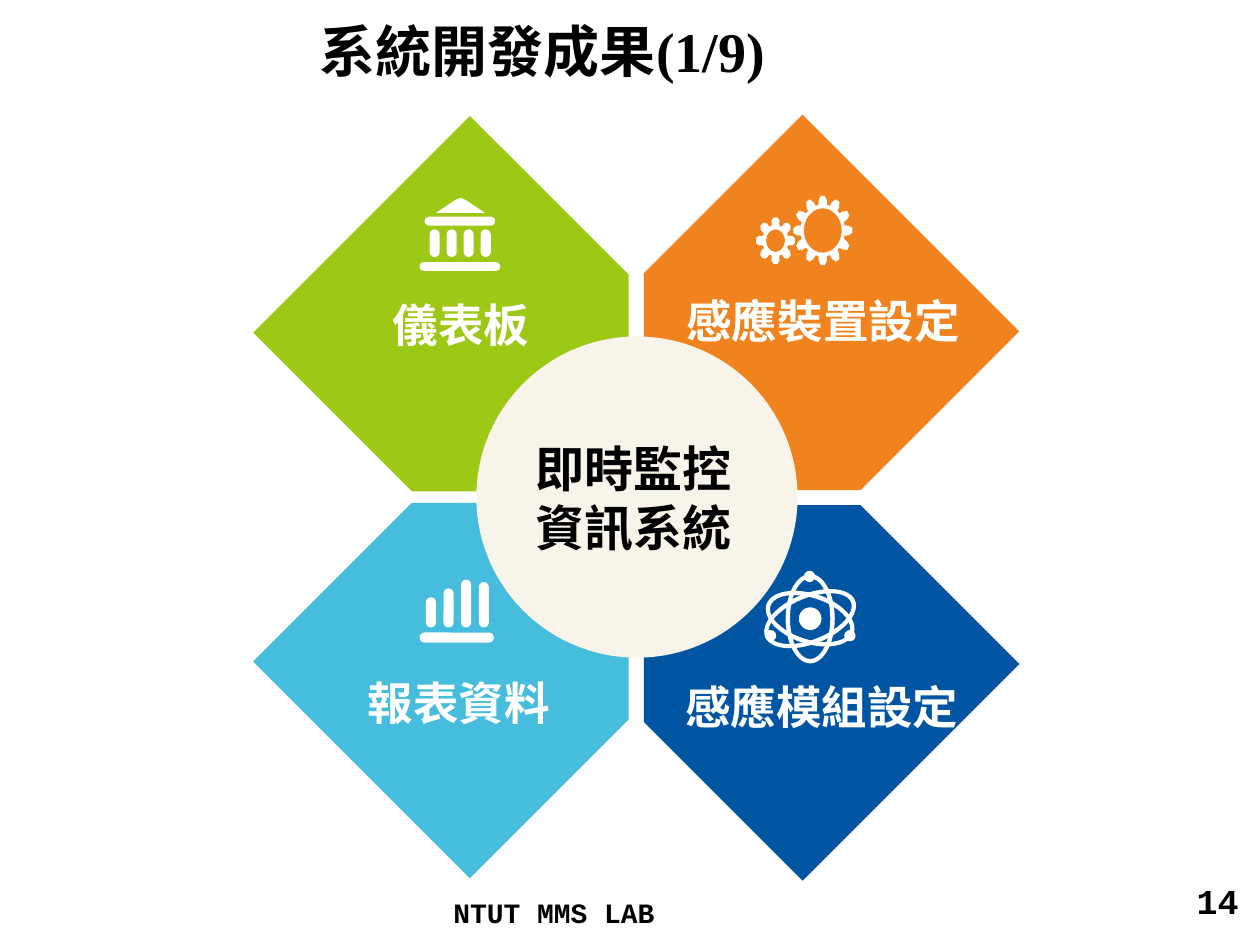
import math

from lxml import etree
from pptx import Presentation
from pptx import util as u
from pptx.dml.color import RGBColor
from pptx.enum import shapes as s, text as t
from pptx.oxml import ns

WHITE = RGBColor(0xFF, 0xFF, 0xFF)
BLACK = RGBColor(0, 0, 0)
GREEN = RGBColor(0x9D, 0xC8, 0x15)
ORANGE = RGBColor(0xF0, 0x83, 0x1E)
CYAN = RGBColor(0x47, 0xBD, 0xDD)
BLUE = RGBColor(0x00, 0x55, 0xA2)
CREAM = RGBColor(0xF8, 0xF4, 0xEA)

CJK_FONT = "Noto Sans CJK SC"
RIGHT = t.PP_ALIGN.RIGHT

# wording, box, font, size, alignment, anchor
FRAME_TEXTS = [
    ("系統開發成果(1/9)", (2.44, 0, 7.56, 0.79), "Times New Roman", 32, None, t.MSO_ANCHOR.MIDDLE),
    ("14", (7.6, 6.93, 2.33, 0.52), "Courier New", 20, RIGHT, t.MSO_ANCHOR.TOP),
    ("NTUT MMS LAB", (3.5, 7.06, 3.24, 0.32), "Courier New", 16, None, t.MSO_ANCHOR.TOP),
]

# inner corner, horizontal and vertical direction outwards, colour
PETALS = [
    ((5.11, 3.89), (1, -1), ORANGE),
    ((4.99, 3.99), (-1, 1), CYAN),
    ((5.11, 4.01), (1, 1), BLUE),
    ((4.99, 3.90), (-1, -1), GREEN),
]
PETAL_OUTLINE = [(0, 0), (1.72, 0), (2.98, 1.26), (1.26, 2.98), (0, 1.72)]

HUB = ("即時監控資訊系統", (3.78, 2.67, 2.55, 2.55))
LABELS = [
    ("儀表板", (3.02, 2.31, 1.3, 0.54)),
    ("感應裝置設定", (5.35, 2.28, 2.39, 0.54)),
    ("報表資料", (2.82, 5.31, 1.66, 0.54)),
    ("感應模組設定", (5.34, 5.34, 2.39, 0.54)),
]

CHART_BASE = (3.33, 5.02, 0.59, 0.08)
CHART_BOTTOM, CHART_LEFT, CHART_STEP = 4.98, 3.38, 0.14
CHART_HEIGHTS = [0.24, 0.31, 0.38, 0.36]

TEMPLE_BEAMS = [(3.33, 2.08, 0.64, 0.07), (3.37, 1.72, 0.56, 0.07)]
TEMPLE_COLUMNS = [(3.41 + 0.135 * i, 1.82, 0.08, 0.22) for i in range(4)]
TEMPLE_ROOF = [(3.46, 1.69), (3.61, 1.59), (3.63, 1.58), (3.66, 1.57),
               (3.68, 1.58), (3.7, 1.59), (3.85, 1.69)]

ATOM_CENTER = (6.43, 4.91)
ATOM_RING = 0.035
ATOM_ORBITS = [(0.39, 0.71, 0), (0.77, 0.4, -22), (0.73, 0.4, 18)]  # width, height, rotation
ATOM_BALLS = [(6.34, 4.82, 0.18), (6.7, 5, 0.09), (6.07, 5, 0.09), (6.38, 4.53, 0.09)]

# centre, radii, teeth, root and hole as parts of the radii
GEARS = [
    ((6.53, 1.83), (0.235, 0.275), 12, 0.75, 0.64),
    ((6.155, 1.91), (0.155, 0.185), 8, 0.67, 0.48),
]


def paint(shape, color):
    shape.shadow.inherit = False
    shape.fill.solid()
    shape.fill.fore_color.rgb = color
    shape.line.fill.background()


def add_preset(parent, kind, box, color=WHITE):
    shape = parent.add_shape(kind, *map(u.Inches, box))
    paint(shape, color)
    return shape


def add_bar(parent, box):
    """Add a white bar with fully rounded ends."""
    add_preset(parent, s.MSO_SHAPE.ROUNDED_RECTANGLE, box).adjustments[0] = 0.5


def add_outline(parent, contours, color=WHITE):
    """Add one freeform; contours after the first cut holes."""
    contours = [[(u.Inches(x), u.Inches(y)) for x, y in points] for points in contours]
    builder = parent.build_freeform(*contours[0][0])
    for index, points in enumerate(contours):
        if index:
            builder.move_to(*points[0])
        builder.add_line_segments(points[1:], close=True)
    paint(builder.convert_to_shape(), color)


def write(shape, wording, font, size, color, align=None, anchor=t.MSO_ANCHOR.TOP, wrap=True):
    frame = shape.text_frame
    frame.word_wrap = wrap
    frame.vertical_anchor = anchor
    paragraph = frame.paragraphs[0]
    paragraph.alignment = align or t.PP_ALIGN.LEFT
    run = paragraph.add_run()
    run.text = wording
    for name, value in {"name": font, "size": u.Pt(size), "bold": True}.items():
        setattr(run.font, name, value)
    run.font.color.rgb = color
    east_asian = etree.SubElement(run.font._element, ns.qn("a:ea"))
    east_asian.set("typeface", CJK_FONT)


def gear_contours(center, radii, teeth, root, hole):
    def polar(angle, part):
        return (center[0] + radii[0] * part * math.cos(angle),
                center[1] + radii[1] * part * math.sin(angle))

    tooth = [(-0.38, root), (-0.3, 0.88), (-0.13, 1), (0.13, 1), (0.3, 0.88), (0.38, root)]
    step = 2 * math.pi / teeth
    rim = [polar((i + shift) * step, part) for i in range(teeth) for shift, part in tooth]
    inner = [polar(-math.radians(degree), hole) for degree in range(0, 360, 10)]
    return [rim, inner]


def add_chart_icon(slide):
    group = slide.shapes.add_group_shape().shapes
    add_bar(group, CHART_BASE)
    for i, height in enumerate(CHART_HEIGHTS):
        add_bar(group, (CHART_LEFT + i * CHART_STEP, CHART_BOTTOM - height, 0.08, height))


def add_temple_icon(slide):
    group = slide.shapes.add_group_shape().shapes
    for box in TEMPLE_BEAMS + TEMPLE_COLUMNS:
        add_bar(group, box)
    add_outline(group, [TEMPLE_ROOF])


def add_atom_icon(slide):
    group = slide.shapes.add_group_shape().shapes
    x, y = ATOM_CENTER
    for width, height, rotation in ATOM_ORBITS:
        orbit = add_preset(group, s.MSO_SHAPE.DONUT,
                           (x - width / 2, y - height / 2, width, height))
        orbit.adjustments[0] = ATOM_RING / min(width, height)
        orbit.rotation = rotation
    for left, top, size in ATOM_BALLS:
        add_preset(group, s.MSO_SHAPE.OVAL, (left, top, size, size))


def add_gear_icon(slide):
    group = slide.shapes.add_group_shape().shapes
    for gear in GEARS:
        add_outline(group, gear_contours(*gear))


def main():
    presentation = Presentation()
    presentation.slide_width, presentation.slide_height = u.Inches(10), u.Inches(7.5)
    slide = presentation.slides.add_slide(presentation.slide_layouts[6])

    for wording, box, font, size, align, anchor in FRAME_TEXTS:
        shape = slide.shapes.add_textbox(*map(u.Inches, box))
        write(shape, wording, font, size, BLACK, align, anchor)

    for (x, y), (across, down), color in PETALS:
        points = [(x + across * dx, y + down * dy) for dx, dy in PETAL_OUTLINE]
        add_outline(slide.shapes, [points], color)

    wording, box = HUB
    hub = add_preset(slide.shapes, s.MSO_SHAPE.OVAL, box, CREAM)
    write(hub, wording, CJK_FONT, 28, BLACK, anchor=t.MSO_ANCHOR.MIDDLE)

    add_chart_icon(slide)
    add_temple_icon(slide)
    add_atom_icon(slide)
    for wording, box in LABELS:
        label = slide.shapes.add_textbox(*map(u.Inches, box))
        write(label, wording, CJK_FONT, 26, WHITE, wrap=False)
    add_gear_icon(slide)

    presentation.save("out.pptx")


if __name__ == "__main__":
    main()
